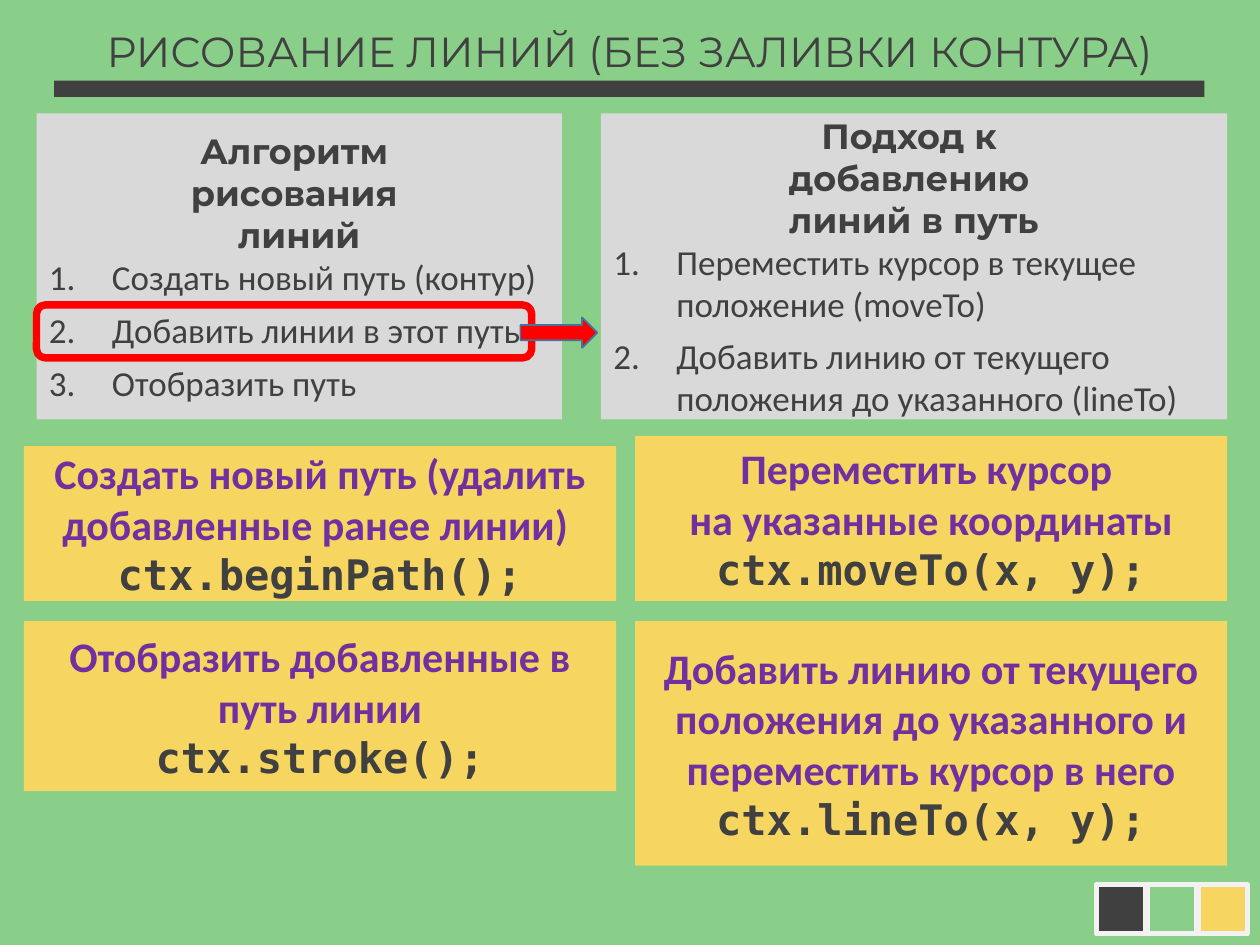
from pptx import Presentation
from pptx import util as u
from pptx.dml.color import RGBColor
from pptx.enum import shapes, text
from pptx.oxml.ns import qn
from lxml import etree

COLORS = {
    "green": "89CF89",
    "dark": "404040",
    "yellow": "F6D660",
    "gray": "D9D9D9",
    "light": "F2F2F2",
    "purple": "7030A0",
    "red": "FF0000",
    "blue": "43739E",
}
SHAPE = shapes.MSO_SHAPE


def color(name):
    return RGBColor.from_string(COLORS[name])


def add_block(slide, box, fill=None, line=None, width=1, kind=SHAPE.RECTANGLE):
    block = slide.shapes.add_shape(kind, *map(u.Inches, box))
    block.shadow.inherit = False
    if fill:
        block.fill.solid()
        block.fill.fore_color.rgb = color(fill)
    else:
        block.fill.background()
    if line:
        block.line.color.rgb = color(line)
        block.line.width = u.Pt(width)
    else:
        block.line.fill.background()
    return block


def write(frame, words, first=False, size=24, font="Calibri", ink="dark",
          bold=False, numbered=False, spacing=None):
    frame.word_wrap = True
    frame.vertical_anchor = text.MSO_ANCHOR.MIDDLE
    paragraph = frame.paragraphs[0] if first else frame.add_paragraph()
    paragraph.alignment = text.PP_ALIGN.LEFT if numbered else text.PP_ALIGN.CENTER
    if spacing:
        paragraph.line_spacing = spacing
    if numbered:
        paragraph.space_after = u.Pt(6)
        properties = paragraph._p.get_or_add_pPr()
        properties.set("marL", str(u.Inches(0.5)))
        properties.set("indent", str(u.Inches(-0.5)))
        etree.SubElement(properties, qn("a:buFont"), typeface="+mj-lt")
        etree.SubElement(properties, qn("a:buAutoNum"), type="arabicPeriod")
    run = paragraph.add_run()
    run.text = words
    run.font.size = u.Pt(size)
    run.font.name = font
    run.font.bold = bold
    run.font.color.rgb = color(ink)


def add_title(slide, words):
    title = slide.shapes.add_textbox(*map(u.Inches, (0.4, -0.12, 9.19, 1.1)))
    write(title.text_frame, words, first=True, font="Montserrat", spacing=0.9)
    add_block(slide, (0.43, 0.64, 9.13, 0.13), "dark")


def add_palette(slide):
    for index, fill in enumerate(("yellow", "green", "dark")):
        add_block(slide, (9.51 - 0.405 * index, 7.02, 0.39, 0.39), fill, "light", 3)


def add_steps(slide, left, width, heading, steps):
    frame = add_block(slide, (left, 0.9, width, 2.43), "gray").text_frame
    for index, words in enumerate(heading):
        write(frame, words, first=index == 0, size=20, font="Montserrat", bold=True)
    for words in steps:
        write(frame, words, size=20, numbered=True)


def add_command(slide, left, top, height, description, code):
    frame = add_block(slide, (left, top, 4.7, height), "yellow").text_frame
    for index, words in enumerate(description):
        write(frame, words, first=index == 0, ink="purple", bold=True)
    write(frame, code, font="DejaVu Sans Mono", bold=True)


def main():
    deck = Presentation()
    deck.slide_width, deck.slide_height = u.Inches(10), u.Inches(7.5)
    slide = deck.slides.add_slide(deck.slide_layouts[6])
    slide.background.fill.solid()
    slide.background.fill.fore_color.rgb = color("green")

    add_title(slide, "РИСОВАНИЕ ЛИНИЙ (БЕЗ ЗАЛИВКИ КОНТУРА)")
    add_palette(slide)

    left, right = 0.19, 5.04
    add_command(slide, right, 4.93, 1.94,
                ["Добавить линию от текущего положения до указанного "
                 "и переместить курсор в него"], "ctx.lineTo(x, y);")
    add_command(slide, right, 3.46, 1.31,
                ["Переместить курсор ", "на указанные координаты"],
                "ctx.moveTo(x, y);")

    add_steps(slide, 0.29, 4.17, ["Алгоритм ", "рисования ", "линий"],
              ["Создать новый путь (контур)", "Добавить линии в этот путь",
               "Отобразить путь"])
    add_steps(slide, 4.77, 4.97, ["Подход к ", "добавлению ", "линий в путь"],
              ["Переместить курсор в текущее положение (moveTo)",
               "Добавить линию от текущего положения до указанного (lineTo)"])
    add_block(slide, (0.29, 2.42, 3.93, 0.42), line="red", width=4.25,
              kind=SHAPE.ROUNDED_RECTANGLE)
    add_block(slide, (4.13, 2.52, 0.61, 0.24), "red", "blue",
              kind=SHAPE.RIGHT_ARROW)

    add_command(slide, left, 3.54, 1.23,
                ["Создать новый путь (удалить добавленные ранее линии) "],
                "ctx.beginPath();")
    add_command(slide, left, 4.93, 1.35,
                ["Отобразить добавленные в путь линии"], "ctx.stroke();")
    deck.save("out.pptx")


if __name__ == "__main__":
    main()
